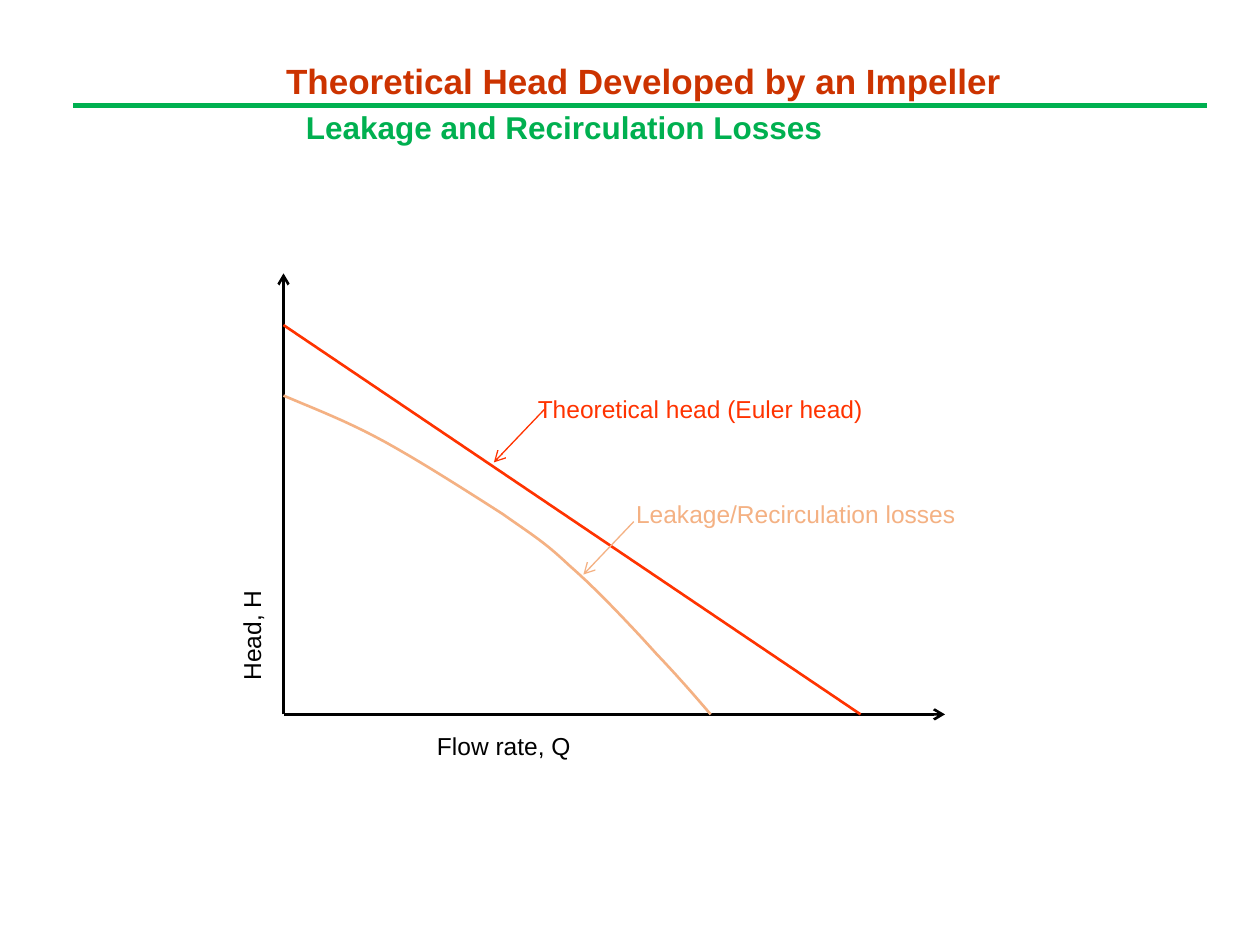
from lxml.etree import SubElement
from pptx import Presentation
from pptx.dml.color import RGBColor
from pptx.enum.shapes import MSO_CONNECTOR
from pptx.enum.text import MSO_ANCHOR, MSO_AUTO_SIZE, PP_ALIGN
from pptx.oxml.ns import qn
from pptx.util import Inches, Pt

BLACK, GREEN, BRICK = "000000", "00B050", "CC3300"
EULER, LOSSES = "FF3300", "F4B183"
ORIGIN = (2.25, 5.67)
STEPS = 10
LOSS_START = (2.25, 3.14)
# Each Bezier segment: two control points and an end point
LOSS_SEGMENTS = [
    ((2.51, 3.25), (2.77, 3.35), (3.06, 3.51)),
    ((3.35, 3.67), (3.74, 3.92), (3.99, 4.08)),
    ((4.23, 4.25), (4.32, 4.3), (4.52, 4.49)),
    ((4.73, 4.67), (5.03, 4.99), (5.21, 5.19)),
    ((5.4, 5.39), (5.52, 5.53), (5.64, 5.67)),
]


def rgb(value):
    return RGBColor.from_string(value)


def write_text(sp, text, size, color, bold=False):
    tf = sp.text_frame
    tf.word_wrap = True
    tf.auto_size = MSO_AUTO_SIZE.NONE
    tf.vertical_anchor = MSO_ANCHOR.TOP
    p = tf.paragraphs[0]
    p.text = text
    p.alignment = PP_ALIGN.LEFT
    p.font.name = "Arial"
    p.font.size = Pt(size)
    p.font.bold = bold
    p.font.color.rgb = rgb(color)


def add_label(shapes, text, left, top, color=BLACK, width=3, height=0.34, size=14, bold=False):
    sp = shapes.add_textbox(Inches(left), Inches(top), Inches(width), Inches(height))
    write_text(sp, text, size, color, bold)
    return sp


def add_line(shapes, start, end, color, width=1.5, arrow=False):
    line = shapes.add_connector(MSO_CONNECTOR.STRAIGHT, *map(Inches, start + end))
    line.line.color.rgb = rgb(color)
    line.line.width = Pt(width)
    if arrow:
        SubElement(line.line._get_or_add_ln(), qn("a:tailEnd"), type="arrow")
    SubElement(line._element.spPr, qn("a:effectLst"))


def bezier_points(start, segments):
    """Sample a chain of cubic Bezier segments, leaving out the start point."""
    points = []
    for c1, c2, end in segments:
        for i in range(1, STEPS + 1):
            t = i / STEPS
            u = 1 - t
            points.append(tuple(
                u**3 * a + 3 * u**2 * t * b + 3 * u * t**2 * c + t**3 * d
                for a, b, c, d in zip(start, c1, c2, end)))
        start = end
    return points


def add_curve(shapes, start, segments, color):
    builder = shapes.build_freeform(*map(Inches, start))
    points = [(Inches(x), Inches(y)) for x, y in bezier_points(start, segments)]
    builder.add_line_segments(points, close=False)
    sp = builder.convert_to_shape()
    sp.shadow.inherit = False
    sp.fill.background()
    sp.line.color.rgb = rgb(color)
    sp.line.width = Pt(1.5)


def add_heading(slide):
    title = slide.shapes.title
    title.left, title.top = Inches(2.17), Inches(0.42)
    title.width, title.height = Inches(6.08), Inches(0.44)
    write_text(title, "Theoretical Head Developed by an Impeller", 20, BRICK, bold=True)
    add_line(slide.shapes, (0.58, 0.84), (9.58, 0.84), GREEN, width=3)
    add_label(slide.shapes, "Leakage and Recirculation Losses", 2.33, 0.81, GREEN,
              width=5.75, height=0.4, size=18, bold=True)


def add_head_diagram(slide):
    shapes = slide.shapes.add_group_shape().shapes
    add_line(shapes, ORIGIN, (7.5, 5.67), BLACK, arrow=True)
    add_line(shapes, ORIGIN, (2.25, 2.17), BLACK, arrow=True)
    add_line(shapes, (2.25, 2.58), (6.83, 5.67), EULER)
    add_line(shapes, (4.32, 3.25), (3.92, 3.67), EULER, 0.75, arrow=True)
    add_label(shapes, "Theoretical head (Euler head)", 4.17, 3.08, EULER)
    add_line(shapes, (5.03, 4.14), (4.63, 4.56), LOSSES, 0.75, arrow=True)
    add_label(shapes, "Leakage/Recirculation losses", 4.95, 3.91, LOSSES)
    add_label(shapes, "Flow rate, Q", 3.37, 5.75)
    add_label(shapes, "Head, H", 0.5, 3.83).rotation = 270
    add_curve(shapes, LOSS_START, LOSS_SEGMENTS, LOSSES)


def main():
    prs = Presentation()
    prs.slide_width, prs.slide_height = Inches(10), Inches(7.5)
    slide = prs.slides.add_slide(prs.slide_layouts[5])
    add_heading(slide)
    add_head_diagram(slide)
    prs.save("out.pptx")


if __name__ == "__main__":
    main()
